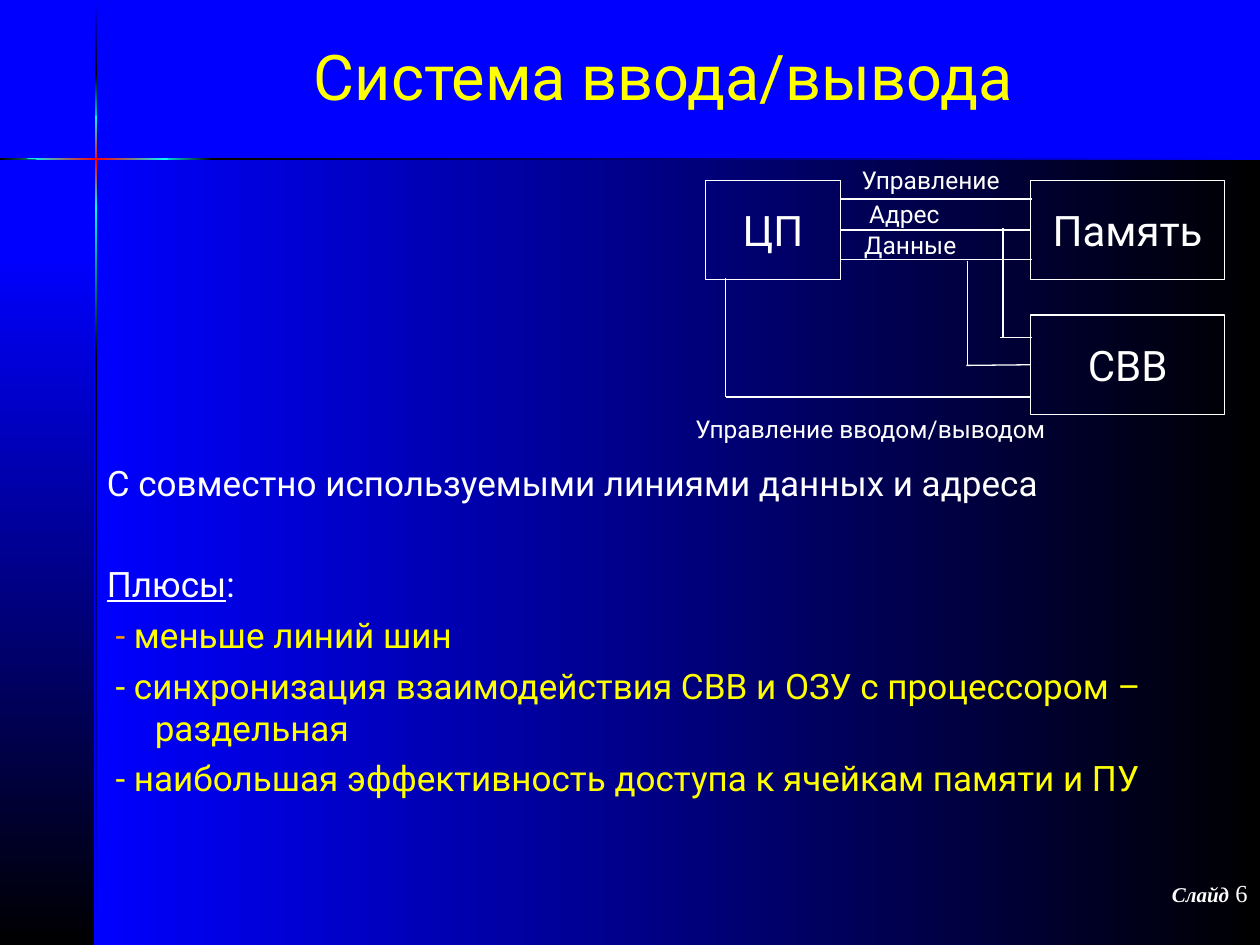
from typing import NamedTuple, Optional

from lxml.etree import SubElement
from pptx import Presentation
from pptx.dml.color import RGBColor
from pptx.enum.shapes import MSO_CONNECTOR, MSO_SHAPE
from pptx.enum.text import MSO_ANCHOR, MSO_AUTO_SIZE, PP_ALIGN
from pptx.oxml.ns import qn
from pptx.util import Inches, Pt

BLUE = RGBColor(0x00, 0x00, 0xFF)
BLACK = RGBColor(0x00, 0x00, 0x00)
CYAN = RGBColor(0x00, 0xFF, 0xFF)
RED = RGBColor(0xFF, 0x00, 0x00)
WHITE = RGBColor(0xFF, 0xFF, 0xFF)
YELLOW = RGBColor(0xFF, 0xFF, 0x00)
ORANGE = RGBColor(0xFF, 0x99, 0x00)

ACROSS, DOWN = 0, 90
RULE = 0.02
RULE_LEFT, RULE_TOP = 0.75, 1.25
LEFT_SIDE, RIGHT_SIDE = 1, 3


class Area(NamedTuple):
    left: float
    top: float
    width: float
    height: float


class Band(NamedTuple):
    area: Area
    colors: tuple
    angle: int


class Span(NamedTuple):
    text: str
    size: float
    color: RGBColor = WHITE
    font: str = "Roboto"
    bold: bool = False
    italic: bool = False
    underline: bool = False


class Wire(NamedTuple):
    start: tuple
    end: tuple
    source: Optional[str] = None
    target: Optional[str] = None


def vertical_rule(top: float, height: float, *colors: RGBColor) -> Band:
    return Band(Area(RULE_LEFT, top, RULE, height), colors, DOWN)


def horizontal_rule(left: float, width: float, *colors: RGBColor) -> Band:
    return Band(Area(left, RULE_TOP, width, RULE), colors, ACROSS)


BANDS = [
    Band(Area(0.75, 1.25, 9.25, 6.25), (BLUE, BLACK), ACROSS),
    Band(Area(0, 2.02, 0.75, 5.48), (BLUE, BLACK), DOWN),
    vertical_rule(0.01, 0.58, BLUE, BLACK),
    vertical_rule(2.82, 4.68, BLACK, BLUE),
    vertical_rule(1.63, 1.22, CYAN, BLACK),
    vertical_rule(0.58, 0.44, BLACK, CYAN),
    vertical_rule(0.92, 0.73, CYAN, RED, CYAN),
    horizontal_rule(0, 0.61, BLACK, CYAN),
    horizontal_rule(1.67, 8.33, BLACK, BLUE),
    horizontal_rule(1.25, 0.44, CYAN, BLACK),
]
POINTED_RULE = [(0.21, 1.26), (0.6, 1.27), (1.33, 1.27), (1.33, 1.25), (0.6, 1.25)]

UNITS = {
    "Память": Area(8.18, 1.43, 1.54, 0.79),
    "СВВ": Area(8.18, 2.5, 1.54, 0.79),
    "ЦП": Area(5.6, 1.43, 1.07, 0.79),
}
WIRES = [
    Wire((6.67, 1.58), (8.19, 1.58)),
    Wire((6.67, 1.82), (8.18, 1.82), "ЦП", "Память"),
    Wire((6.67, 2.06), (8.19, 2.06)),
    Wire((7.94, 2.68), (8.19, 2.68)),
    Wire((7.67, 2.9), (8.18, 2.9), target="СВВ"),
    Wire((5.76, 3.15), (8.18, 3.15)),
    Wire((7.96, 1.81), (7.96, 2.68)),
    Wire((7.68, 2.07), (7.68, 2.9)),
    Wire((5.76, 2.21), (5.76, 3.15)),
]
BUS_LABELS = {
    "Управление": Area(6.74, 1.26, 1.36, 0.34),
    "Адрес": Area(6.8, 1.53, 0.76, 0.34),
    "Данные": Area(6.76, 1.78, 0.95, 0.34),
    "Управление вводом/выводом": Area(5.42, 3.24, 3.08, 0.34),
}
BODY = [
    [Span("С совместно используемыми линиями данных и адреса", 20)],
    [Span("Плюсы", 20, underline=True), Span(":", 20)],
    [Span(" - ", 20, ORANGE), Span("меньше линий шин", 20, YELLOW)],
    [Span(" - синхронизация взаимодействия СВВ и ОЗУ с процессором – раздельная", 20, YELLOW)],
    [Span(" - наибольшая эффективность доступа к ячейкам памяти и ПУ", 20, YELLOW)],
]
BODY_SPACING = [5, 34, 5, 5, 5]


def inches(area: Area) -> list:
    return [Inches(value) for value in area]


def paint_gradient(shape, colors: tuple, angle: int) -> None:
    """Fill with evenly spaced stops; the angle runs clockwise."""
    shape.shadow.inherit = False
    shape.line.fill.background()
    shape.fill.gradient()
    shape.fill.gradient_angle = -angle % 360
    stops = shape._element.spPr.find(".//" + qn("a:gsLst"))
    for stop in list(stops):
        stops.remove(stop)
    for index, color in enumerate(colors):
        position = str(100000 * index // (len(colors) - 1))
        stop = SubElement(stops, qn("a:gs"), pos=position)
        SubElement(stop, qn("a:srgbClr"), val=str(color))


def draw_band(page, band: Band) -> None:
    shape = page.shapes.add_shape(MSO_SHAPE.RECTANGLE, *inches(band.area))
    paint_gradient(shape, band.colors, band.angle)


def draw_pointed_rule(page) -> None:
    first, *others = [(Inches(x), Inches(y)) for x, y in POINTED_RULE]
    builder = page.shapes.build_freeform(*first)
    builder.add_line_segments(others, close=True)
    paint_gradient(builder.convert_to_shape(), (CYAN, RED, CYAN), ACROSS)


def write(para, spans: list, align: PP_ALIGN = PP_ALIGN.LEFT) -> None:
    para.alignment = align
    for span in spans:
        run = para.add_run()
        run.text = span.text
        run.font.name = span.font
        run.font.size = Pt(span.size)
        run.font.color.rgb = span.color
        run.font.bold = span.bold
        run.font.italic = span.italic
        run.font.underline = span.underline


def add_text(page, area: Area, spans: list, align: PP_ALIGN = PP_ALIGN.LEFT, wrap: bool = True):
    frame = page.shapes.add_textbox(*inches(area)).text_frame
    frame.word_wrap = wrap
    write(frame.paragraphs[0], spans, align)
    return frame


def draw_unit(page, name: str, area: Area):
    box = page.shapes.add_shape(MSO_SHAPE.RECTANGLE, *inches(area))
    box.shadow.inherit = False
    box.fill.background()
    box.line.color.rgb = WHITE
    box.line.width = Pt(0.75)
    box.text_frame.word_wrap = False
    box.text_frame.vertical_anchor = MSO_ANCHOR.MIDDLE
    write(box.text_frame.paragraphs[0], [Span(name, 24)], PP_ALIGN.CENTER)
    return box


def draw_wire(page, wire: Wire, units: dict) -> None:
    ends = [Inches(value) for value in wire.start + wire.end]
    line = page.shapes.add_connector(MSO_CONNECTOR.STRAIGHT, *ends)
    line.line.color.rgb = WHITE
    line.line.width = Pt(0.75)
    SubElement(line._element.spPr, qn("a:effectLst"))
    if wire.source:
        line.begin_connect(units[wire.source], RIGHT_SIDE)
    if wire.target:
        line.end_connect(units[wire.target], LEFT_SIDE)


def draw_body(page) -> None:
    frame = add_text(page, Area(0.75, 3.61, 9.25, 3.5), BODY[0])
    for spans in BODY[1:]:
        write(frame.add_paragraph(), spans)
    for para, spacing in zip(frame.paragraphs, BODY_SPACING):
        para.space_before = Pt(spacing)
        properties = para._p.get_or_add_pPr()
        properties.set("marL", str(Inches(0.38)))
        properties.set("indent", str(Inches(-0.38)))


def main() -> None:
    deck = Presentation()
    deck.slide_width, deck.slide_height = Inches(10), Inches(7.5)
    page = deck.slides.add_slide(deck.slide_layouts[6])
    page.background.fill.solid()
    page.background.fill.fore_color.rgb = BLUE

    for band in BANDS:
        draw_band(page, band)
    draw_pointed_rule(page)

    number = [
        Span("Слайд", 12, font="Times New Roman", bold=True, italic=True),
        Span(" 6", 14, font="Times New Roman"),
    ]
    add_text(page, Area(7.92, 6.92, 2.08, 0.5), number, PP_ALIGN.RIGHT)
    title = [Span("Система ввода/вывода", 36, YELLOW)]
    frame = add_text(page, Area(1.15, 0.18, 8.23, 0.83), title, PP_ALIGN.CENTER)
    frame.vertical_anchor = MSO_ANCHOR.MIDDLE
    draw_body(page)

    units = {name: draw_unit(page, name, area) for name, area in UNITS.items()}
    for wire in WIRES:
        draw_wire(page, wire, units)
    for label, area in BUS_LABELS.items():
        frame = add_text(page, area, [Span(label, 14)], wrap=False)
        frame.auto_size = MSO_AUTO_SIZE.SHAPE_TO_FIT_TEXT
    deck.save("out.pptx")


if __name__ == "__main__":
    main()
